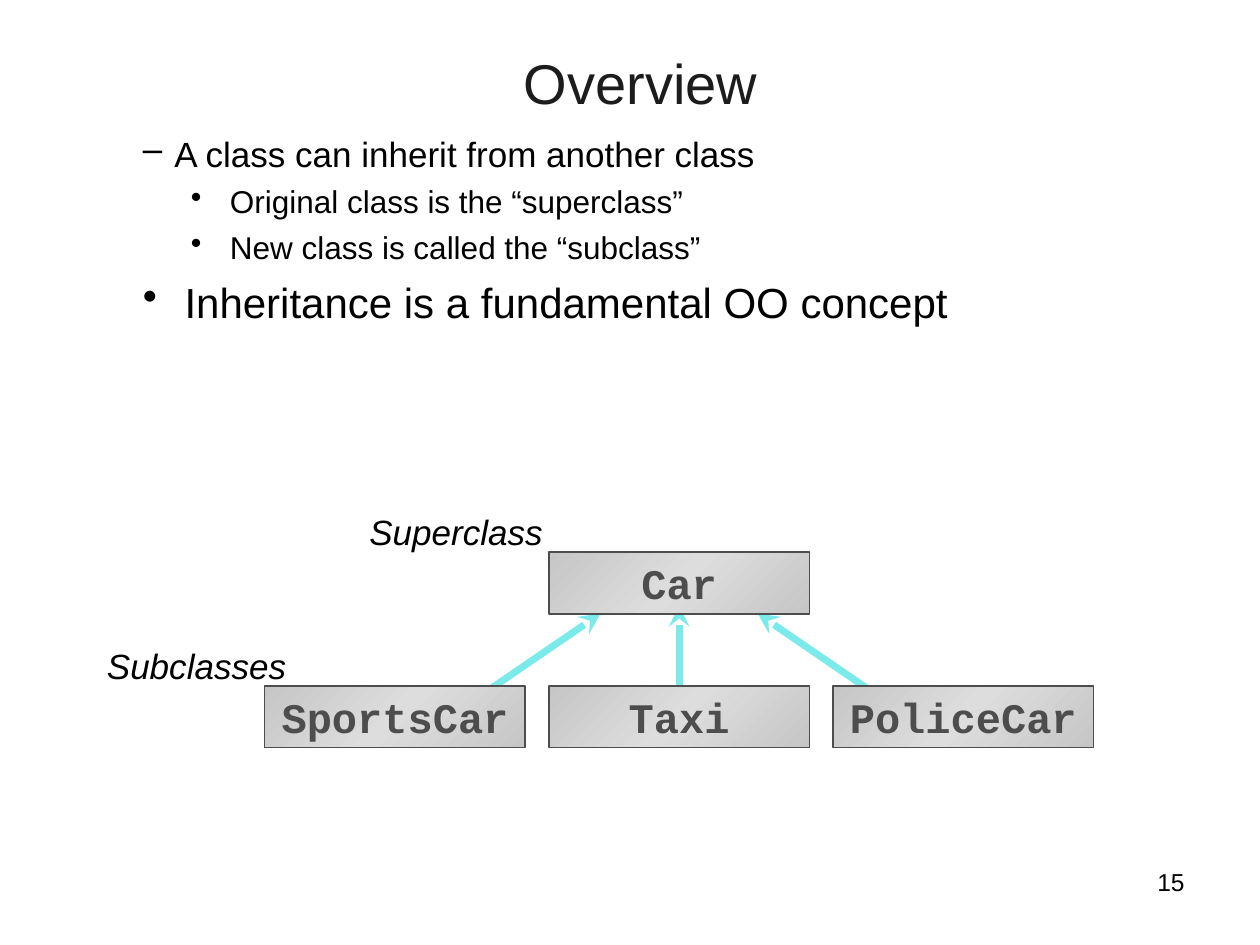
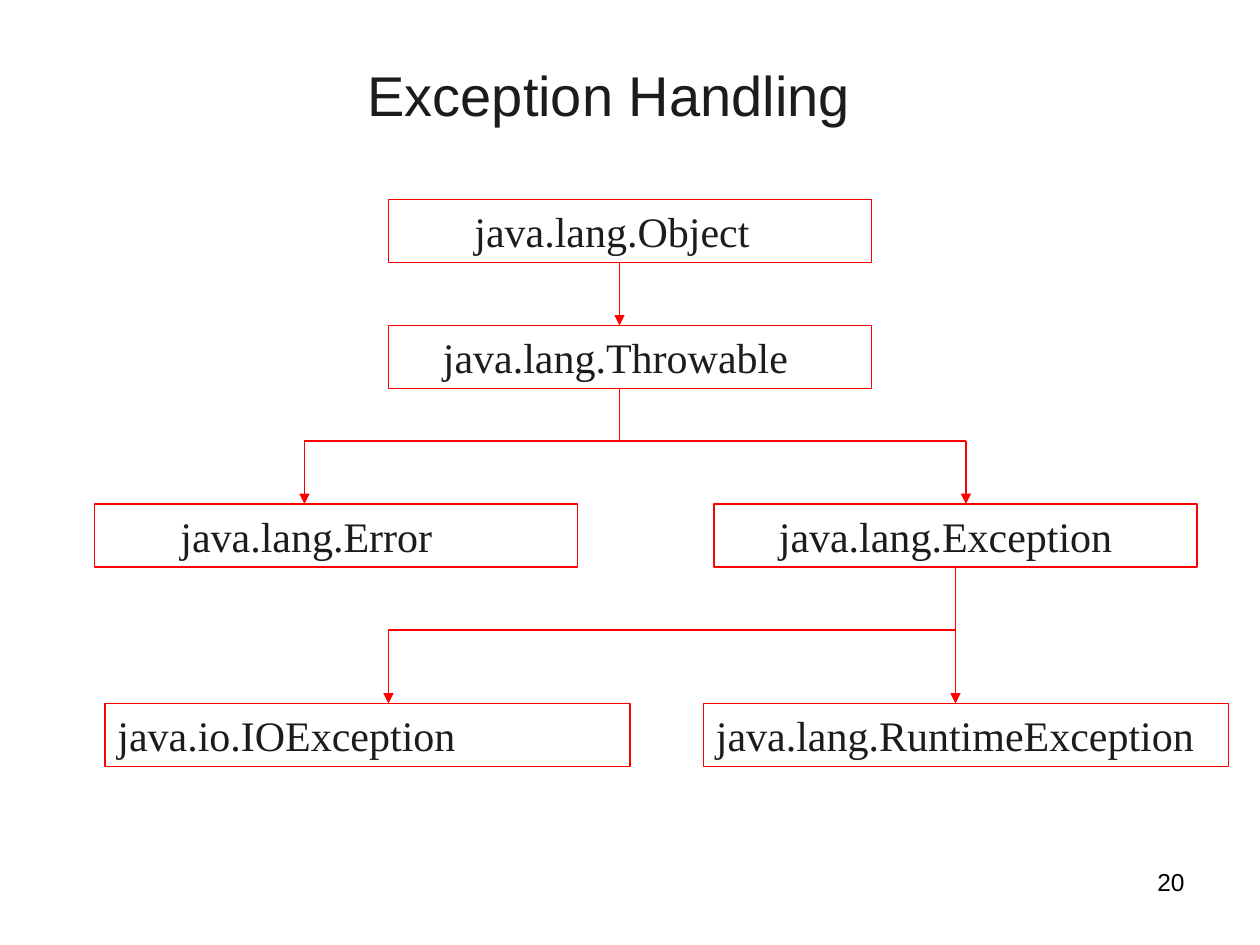
"""Build two slides on inheritance and the exception class hierarchy."""
import copy

from lxml import etree
from pptx import Presentation
from pptx import util as u
from pptx.dml.color import RGBColor
from pptx.enum import shapes, text
from pptx.oxml.ns import qn

COLORS = {
    "paper": "FFFFFF", "body": "000000", "heading": "1C1C1C", "class": "4D4D4D",
    "edge": "C6C6C6", "shine": "DDDDDD", "arrow": "7BEAEA", "tree": "FF0000",
}
SANS, MONO, SERIF = "Arial", "Courier New", "Times New Roman"
COLUMNS, ROWS = 120, 90
ALIGN, ANCHOR = text.PP_ALIGN, text.MSO_ANCHOR


def rgb(name):
    return RGBColor.from_string(COLORS[name])


class Deck:
    """Hold the presentation, its grid and the current slide."""

    def __init__(self):
        self.presentation = Presentation()
        self.presentation.slide_width = u.Inches(10)
        self.presentation.slide_height = u.Inches(7.5)
        self.column = self.presentation.slide_width / COLUMNS
        self.row = self.presentation.slide_height / ROWS
        self.slide = None

    def place(self, column, row):
        return round(column * self.column), round(row * self.row)

    def start(self, number):
        self.slide = self.presentation.slides.add_slide(self.presentation.slide_layouts[6])
        fill = self.slide.background.fill
        fill.solid()
        fill.fore_color.rgb = rgb("paper")
        self.label(str(number), (86, 82, 28, 6.2), 14, align=ALIGN.RIGHT)

    def set_text(self, paragraph, words, size, font=SANS, color="body", align=ALIGN.LEFT,
                 bold=False, italic=False):
        paragraph.text = words
        paragraph.alignment = align
        paragraph.font.size = u.Pt(size)
        paragraph.font.name = font
        paragraph.font.color.rgb = rgb(color)
        paragraph.font.bold = bold
        paragraph.font.italic = italic

    def frame(self, area):
        box = self.slide.shapes.add_textbox(*self.place(*area[:2]), *self.place(*area[2:]))
        box.text_frame.word_wrap = True
        return box.text_frame

    def label(self, words, area, size, **style):
        self.set_text(self.frame(area).paragraphs[0], words, size, **style)

    def title(self, words, area, anchor):
        frame = self.frame(area)
        frame.vertical_anchor = anchor
        self.set_text(frame.paragraphs[0], words, 32, color="heading", align=ALIGN.CENTER)

    def bullets(self, items, area):
        frame = self.frame(area)
        for index, (words, mark, size, margin, hanging) in enumerate(items):
            paragraph = frame.add_paragraph() if index else frame.paragraphs[0]
            self.set_text(paragraph, words, size)
            paragraph.space_before = u.Pt(size / 4)
            self.indent(paragraph, margin, -hanging)
            etree.SubElement(paragraph._p.get_or_add_pPr(), qn("a:buChar"), char=mark)

    def indent(self, paragraph, margin, first=0):
        properties = paragraph._p.get_or_add_pPr()
        properties.set("marL", str(u.Inches(margin)))
        properties.set("indent", str(u.Inches(first)))

    def rectangle(self, area, line_color, weight):
        shape = self.slide.shapes.add_shape(
            shapes.MSO_SHAPE.RECTANGLE, *self.place(*area[:2]), *self.place(*area[2:]))
        shape.shadow.inherit = False
        shape.line.color.rgb = rgb(line_color)
        shape.line.width = u.Pt(weight)
        return shape

    def class_box(self, words, column, row, width, height):
        shape = self.rectangle((column, row, width, height), "class", 1)
        shape.fill.gradient()
        shape.fill.gradient_angle = 315
        stops = shape.element.spPr.find(qn("a:gradFill")).find(qn("a:gsLst"))
        stops.insert(1, copy.deepcopy(stops[0]))
        for index, (stop, color) in enumerate(
                zip(shape.fill.gradient_stops, ("edge", "shine", "edge"))):
            stop.position = index / 2
            stop.color.rgb = rgb(color)
        shape.text_frame.word_wrap = False
        shape.text_frame.vertical_anchor = ANCHOR.MIDDLE
        self.set_text(shape.text_frame.paragraphs[0], words, 24, MONO, "class",
                      ALIGN.CENTER, bold=True)

    def tree_box(self, words, column, row, width, inset):
        shape = self.rectangle((column, row, width, 6), "tree", 0.75)
        shape.fill.background()
        shape.text_frame.vertical_anchor = ANCHOR.TOP
        paragraph = shape.text_frame.paragraphs[0]
        self.set_text(paragraph, words, 24, SERIF, "heading")
        self.indent(paragraph, inset / 12)

    def line(self, start, end, color="tree", weight=0.75, head=None):
        connector = self.slide.shapes.add_connector(
            shapes.MSO_CONNECTOR.STRAIGHT, *self.place(*start), *self.place(*end))
        connector.line.color.rgb = rgb(color)
        connector.line.width = u.Pt(weight)
        properties = connector.element.spPr
        if head:
            etree.SubElement(properties.find(qn("a:ln")), qn("a:tailEnd"), type=head)
        etree.SubElement(properties, qn("a:effectLst"))


def overview(deck):
    deck.start(15)
    deck.bullets([
        ("A class can inherit from another class", "–", 20, 0.37, 0.25),
        ("Original class is the “superclass”", "•", 18, 0.81, 0.31),
        ("New class is called the “subclass”", "•", 18, 0.81, 0.31),
        ("Inheritance is a fundamental OO concept", "•", 24, 0.45, 0.33),
    ], (11, 12, 102.2, 19.7))
    deck.title("Overview", (10, 4, 102, 15), ANCHOR.TOP)

    left, step, width, height = 25.2, 27.06, 24.84, 5.9
    parent_row, child_row = 52.55, 65.3
    middle = left + step + width / 2
    deck.line((middle, 65.5), (middle, 57.7), "arrow", 4, "stealth")
    for side in (-1, 1):
        deck.line((middle + side * 20, 67), (middle + side * 7.5, 58.45), "arrow", 4, "stealth")
    deck.class_box("Car", left + step, parent_row, width, height)
    for index, name in enumerate(("SportsCar", "Taxi", "PoliceCar")):
        deck.class_box(name, left + index * step, child_row, width, height)
    deck.label("Superclass", (34, 48, 20.6, 5), 20, italic=True)
    deck.label("Subclasses", (9, 60.8, 22.4, 5), 20, italic=True)


def exception_handling(deck):
    deck.start(20)
    deck.title("Exception Handling", (7, 3, 102, 12), ANCHOR.MIDDLE)
    for box in (
        ("java.lang.Object", 37, 19, 46, 7),
        ("java.lang.Throwable", 37, 31, 46, 4),
        ("java.lang.Exception", 68, 48, 46, 5),
        ("java.lang.Error", 9, 48, 46, 7),
        ("java.lang.RuntimeException", 67, 67, 50, 0),
        ("java.io.IOException", 10, 67, 50, 0),
    ):
        deck.tree_box(*box)

    trunk, error, exception, runtime, input_output = 59, 29, 92, 91, 37
    fork, lower_fork = 42, 60
    for column, top, bottom in (
        (trunk, 25, 31), (error, fork, 48), (exception, fork, 48),
        (runtime, 54, 67), (input_output, lower_fork, 67),
    ):
        deck.line((column, top), (column, bottom), head="triangle")
    deck.line((trunk, 37), (trunk, fork))
    deck.line((error, fork), (exception, fork))
    deck.line((runtime, lower_fork), (input_output, lower_fork))


def main():
    deck = Deck()
    overview(deck)
    exception_handling(deck)
    deck.presentation.save("out.pptx")


if __name__ == "__main__":
    main()
